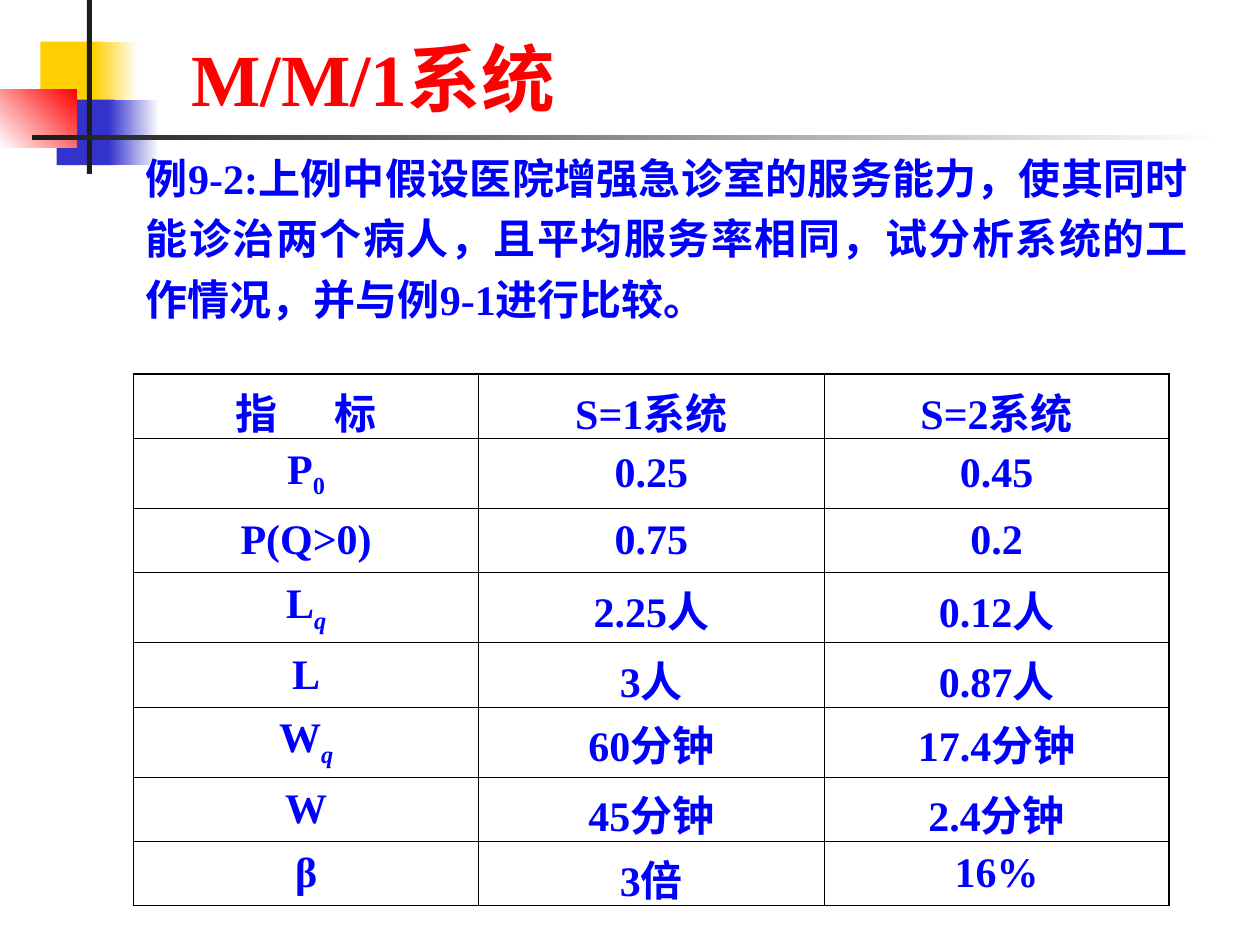
"""Builds the M/M/1 queueing comparison slide."""
from dataclasses import dataclass
from typing import NamedTuple

from lxml.etree import SubElement
from pptx import Presentation
from pptx.dml.color import RGBColor
from pptx.enum.lang import MSO_LANGUAGE_ID as Language
from pptx.enum.shapes import MSO_SHAPE as Preset
from pptx.enum.text import MSO_ANCHOR as Anchor, MSO_AUTO_SIZE as AutoSize, PP_ALIGN as Align
from pptx.oxml.ns import qn
from pptx.util import Inches, Pt


@dataclass(frozen=True)
class Theme:
    font: str = "Times New Roman"
    title_size: int = 42
    body_size: int = 24
    title: str = "FF0000"
    body: str = "0000FF"
    yellow: str = "FFCF01"
    blue: str = "3333CC"
    red: str = "FF0000"
    dark: str = "1C1C1C"
    white: str = "FFFFFF"
    border: str = "000000"
    outer_line: float = 1.08
    inner_line: float = 0.45


class Block(NamedTuple):
    left: float
    top: float
    width: float
    height: float
    color: str
    fade_to: str = ""
    angle: float = 0


class Span(NamedTuple):
    text: str
    subscript: bool = False
    italic: bool = False
    spacing: int = 0


THEME = Theme()
BLOCKS = [
    Block(0.32, 0.33, 0.48, 0.52, THEME.yellow),
    Block(0.74, 0.33, 0.36, 0.52, THEME.yellow, THEME.white),
    Block(0.45, 0.79, 0.46, 0.52, THEME.blue),
    Block(0.86, 0.79, 0.40, 0.52, THEME.blue, THEME.white),
    Block(0, 0.71, 0.61, 0.46, THEME.white, THEME.red, 45),
    Block(0.69, 0, 0.04, 1.38, THEME.dark),
    Block(0.25, 1.07, 9.45, 0.04, THEME.dark, THEME.white),
]
QUESTION = (
    "例9-2:上例中假设医院增强急诊室的服务能力，使其同时能诊治两个病人，"
    "且平均服务率相同，试分析系统的工作情况，并与例9-1进行比较。"
)
QUEUE_MARK = Span("q", subscript=True, italic=True)
ROWS = [
    ([Span("指"), Span(" ", spacing=2700), Span("标")], "S=1系统", "S=2系统"),
    ([Span("P"), Span("0", subscript=True)], "0.25", "0.45"),
    ([Span("P(Q>0)")], "0.75", "0.2"),
    ([Span("L"), QUEUE_MARK], "2.25人", "0.12人"),
    ([Span("L")], "3人", "0.87人"),
    ([Span("W"), QUEUE_MARK], "60分钟", "17.4分钟"),
    ([Span("W")], "45分钟", "2.4分钟"),
    ([Span("β")], "3倍", "16%"),
]
COLUMN_WIDTH, ROW_HEIGHT = 2.74, 0.51


def add_block(page, block: Block) -> None:
    shape = page.shapes.add_shape(
        Preset.RECTANGLE, *(Inches(length) for length in block[:4])
    )
    shape.shadow.inherit = False
    shape.line.fill.background()
    if not block.fade_to:
        shape.fill.solid()
        shape.fill.fore_color.rgb = RGBColor.from_string(block.color)
        return
    shape.fill.gradient()
    shape.fill.gradient_angle = block.angle
    for stop, color in zip(shape.fill.gradient_stops, (block.color, block.fade_to)):
        stop.color.rgb = RGBColor.from_string(color)


def write(para, spans: list[Span], size: int, color: str, align: Align) -> None:
    para.alignment = align
    for span in spans:
        run = para.add_run()
        run.text = span.text
        font = run.font
        font.name, font.size, font.bold = THEME.font, Pt(size), True
        font.italic = span.italic
        font.color.rgb = RGBColor.from_string(color)
        font.language_id = Language.SIMPLIFIED_CHINESE
        properties = run._r.get_or_add_rPr()
        if span.subscript:
            properties.set("baseline", "-25000")
        if span.spacing:
            properties.set("spc", str(span.spacing))


def set_borders(cell, widths: dict[str, float]) -> None:
    properties = cell._tc.get_or_add_tcPr()
    for position, (side, width) in enumerate(widths.items()):
        line = SubElement(properties, qn(f"a:ln{side}"), w=str(int(Pt(width))))
        fill = SubElement(line, qn("a:solidFill"))
        SubElement(fill, qn("a:srgbClr"), val=THEME.border)
        properties.insert(position, line)


def add_title(page) -> None:
    title = page.shapes.title
    title.left, title.top = Inches(1.42), Inches(0.14)
    title.width, title.height = Inches(7.87), Inches(0.94)
    frame = title.text_frame
    frame.auto_size = AutoSize.NONE
    frame.vertical_anchor = Anchor.MIDDLE
    write(frame.paragraphs[0], [Span("M/M/1系统")], THEME.title_size, THEME.title, Align.LEFT)


def add_question(page) -> None:
    box = page.shapes.add_textbox(Inches(1.06), Inches(1.08), Inches(8.47), Inches(1.65))
    box.text_frame.word_wrap = True
    para = box.text_frame.paragraphs[0]
    para.line_spacing, para.space_before = 1.2, Pt(6)
    write(para, [Span(QUESTION)], THEME.body_size, THEME.body, Align.JUSTIFY)


def add_comparison(page) -> None:
    row_count, column_count = len(ROWS), len(ROWS[0])
    table = page.shapes.add_table(
        row_count, column_count, Inches(1.06), Inches(2.97),
        Inches(COLUMN_WIDTH * column_count), Inches(ROW_HEIGHT * row_count),
    ).table
    table.first_row = table.horz_banding = False
    for row_index, row in enumerate(ROWS):
        for column_index, content in enumerate(row):
            cell = table.cell(row_index, column_index)
            cell.fill.background()
            cell.vertical_anchor = Anchor.MIDDLE
            on_edge = {
                "L": column_index == 0,
                "R": column_index == column_count - 1,
                "T": row_index == 0,
                "B": row_index == row_count - 1,
            }
            set_borders(cell, {
                side: THEME.outer_line if edge else THEME.inner_line
                for side, edge in on_edge.items()
            })
            para = cell.text_frame.paragraphs[0]
            para.space_before = Pt(6)
            spans = [Span(content)] if isinstance(content, str) else content
            write(para, spans, THEME.body_size, THEME.body, Align.CENTER)


def main() -> None:
    deck = Presentation()
    deck.slide_width, deck.slide_height = Inches(10), Inches(7.5)
    page = deck.slides.add_slide(deck.slide_layouts[5])
    for block in BLOCKS:
        add_block(page, block)
    add_title(page)
    add_question(page)
    add_comparison(page)
    deck.save("out.pptx")


main()
